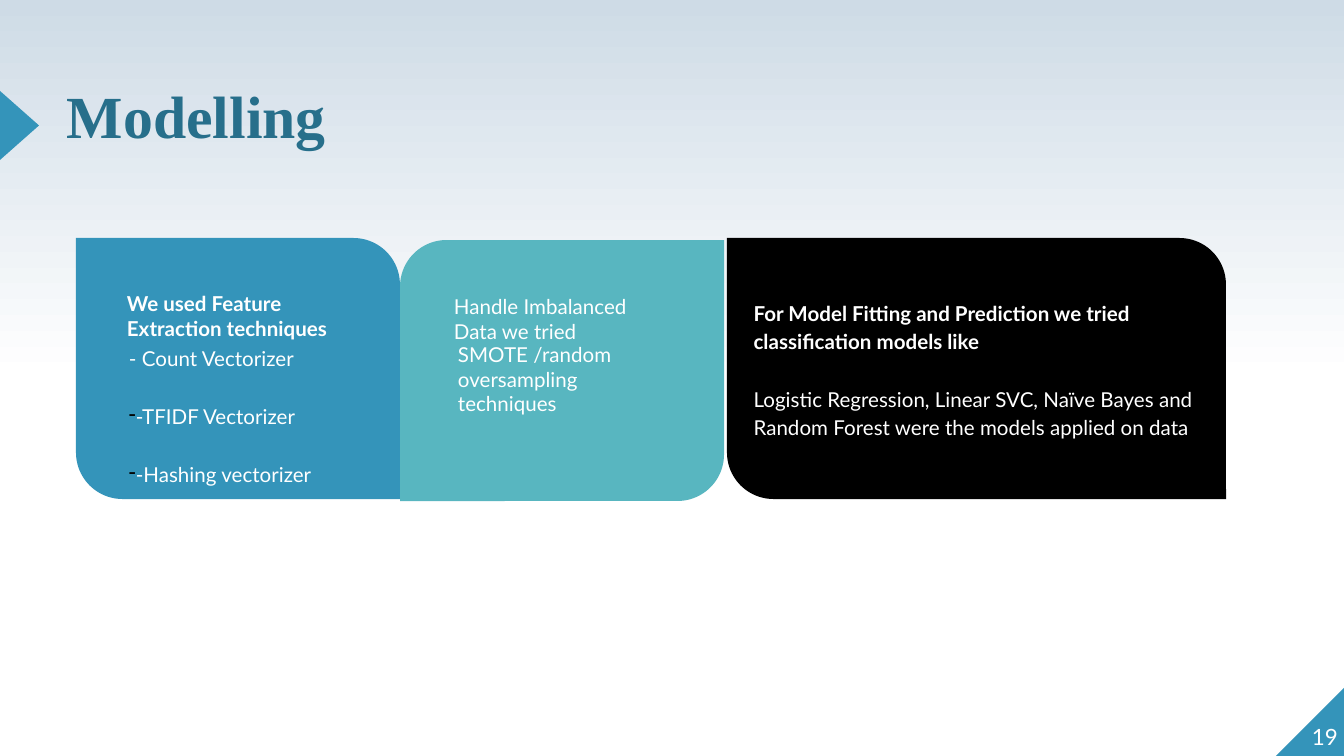
from lxml.etree import SubElement
from pptx import Presentation
from pptx.dml.color import RGBColor
from pptx.enum.shapes import MSO_SHAPE as Shape
from pptx.enum.text import MSO_ANCHOR as Anchor, MSO_AUTO_SIZE as AutoSize, PP_ALIGN as Align
from pptx.oxml.ns import qn
from pptx.util import Emu, Pt

BLUE, TEAL, BLACK, WHITE = "3494BA", "58B6C0", "000000", "FFFFFF"
TITLE_COLOR, SKY = "276F8B", "CEDBE6"
INSET, DASH_WIDTH = 13, 6

CARDS = [
    ((76, 238, 324, 261), (0, 0.178), BLUE),
    ((400, 240, 324, 261), (0.178, 0), TEAL),
    ((727, 238, 499, 261), (0, 0.178), BLACK),
]
HEADINGS = [
    ((114, 278, 242, 50), ["We used Feature Extraction techniques"], True),
    ((441, 281, 242, 77), ["Handle Imbalanced Data we tried"], False),
    ((445, 329, 242, 66), ["SMOTE /random oversampling techniques"], False),
]
VECTORIZERS = ["- Count Vectorizer", "-TFIDF Vectorizer", "-Hashing vectorizer"]
MODELS = [
    "For Model Fitting and Prediction we tried classification models like",
    "Logistic Regression, Linear SVC, Naïve Bayes and Random Forest were the models applied on data",
]


def px(length):
    return Emu(round(length * 914400 / 134.4))


def color(value):
    return RGBColor.from_string(value)


def add_block(page, kind, place, fill, adjustments=(), rotation=0):
    block = page.shapes.add_shape(kind, *map(px, place))
    block.shadow.inherit = False
    block.fill.solid()
    block.fill.fore_color.rgb = color(fill)
    block.line.fill.background()
    block.rotation = rotation
    for index, value in enumerate(adjustments):
        block.adjustments[index] = value
    return block


def write(box, lines, size=11, font="Lato", ink=WHITE, bold=False, inset=INSET,
          anchor=Anchor.TOP, align=Align.LEFT, spacing=None, gap=0):
    frame = box.text_frame
    frame.word_wrap = True
    frame.auto_size = AutoSize.NONE
    frame.vertical_anchor = anchor
    frame.margin_left = frame.margin_right = px(inset)
    frame.margin_top = frame.margin_bottom = px(inset)
    frame.text = "\n".join(lines)
    for para in frame.paragraphs:
        para.alignment = align
        para.line_spacing = spacing
        para.font.size = Pt(size)
        para.font.name = font
        para.font.bold = bold
        para.font.color.rgb = color(ink)
    for para in frame.paragraphs[:-1]:
        para.space_after = Pt(gap)
    return frame.paragraphs


def add_text(page, place, lines, **style):
    return write(page.shapes.add_textbox(*map(px, place)), lines, **style)


def add_dash(para):
    props = para._p.get_or_add_pPr()
    props.set("marL", str(px(DASH_WIDTH)))
    props.set("indent", str(-px(DASH_WIDTH)))
    tint = SubElement(SubElement(props, qn("a:buClr")), qn("a:srgbClr"))
    tint.set("val", BLACK)
    SubElement(props, qn("a:buChar")).set("char", "-")
    props.append(props.find(qn("a:defRPr")))


def main():
    deck = Presentation()
    deck.slide_width, deck.slide_height = px(1344), px(756)
    page = deck.slides.add_slide(deck.slide_layouts[5])

    backdrop = page.background.fill
    backdrop.gradient()
    backdrop.gradient_angle = 90
    for stop, position, tint in zip(backdrop.gradient_stops, (0.5, 1), (WHITE, SKY)):
        stop.position = position
        stop.color.rgb = color(tint)

    add_block(page, Shape.RIGHT_TRIANGLE, (1276, 687, 69, 69), BLUE, rotation=270)
    add_block(page, Shape.ISOSCELES_TRIANGLE, (-15, 106, 69, 39), BLUE, rotation=90)

    title = page.shapes.title
    title.left, title.top, title.width, title.height = map(px, (67, 93, 762, 95))
    write(title, ["Modelling"], size=32, font="Times New Roman", ink=TITLE_COLOR,
          bold=True, inset=0, spacing=0.8)
    add_text(page, (1271, 681, 67, 69), ["19"], size=12, inset=0,
             anchor=Anchor.BOTTOM, align=Align.RIGHT)

    cards = [add_block(page, Shape.ROUND_2_DIAG_RECTANGLE, place, fill, corners)
             for place, corners, fill in CARDS]
    for place, lines, bold in HEADINGS:
        add_text(page, place, lines, bold=bold)
    vectorizers = add_text(page, (116, 329, 242, 110), VECTORIZERS, spacing=1.15, gap=16)
    for para in vectorizers[1:]:
        add_dash(para)
    models = write(cards[-1], MODELS, anchor=Anchor.MIDDLE, spacing=1.15, gap=16)
    models[0].font.bold = True

    deck.save("out.pptx")


if __name__ == "__main__":
    main()
